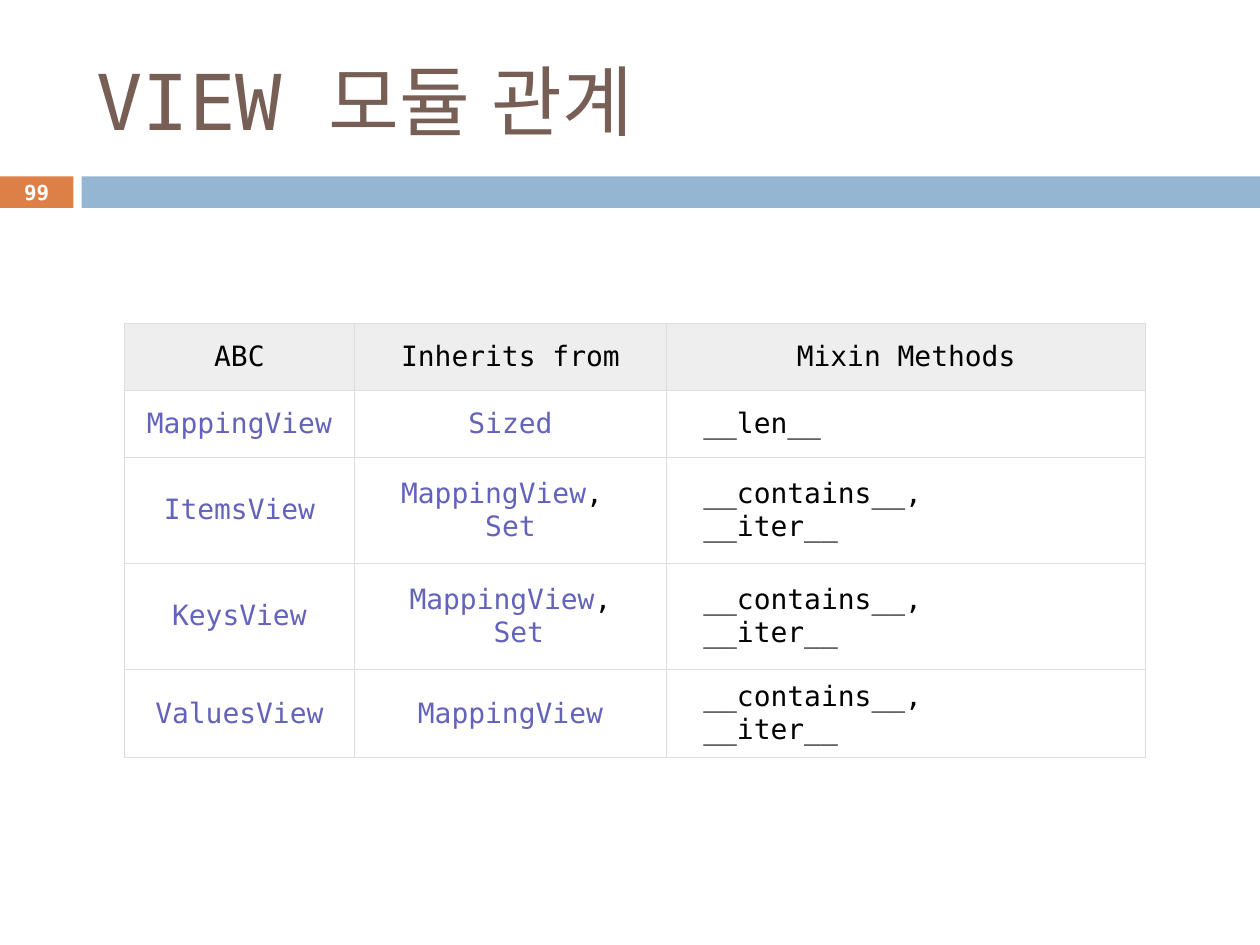
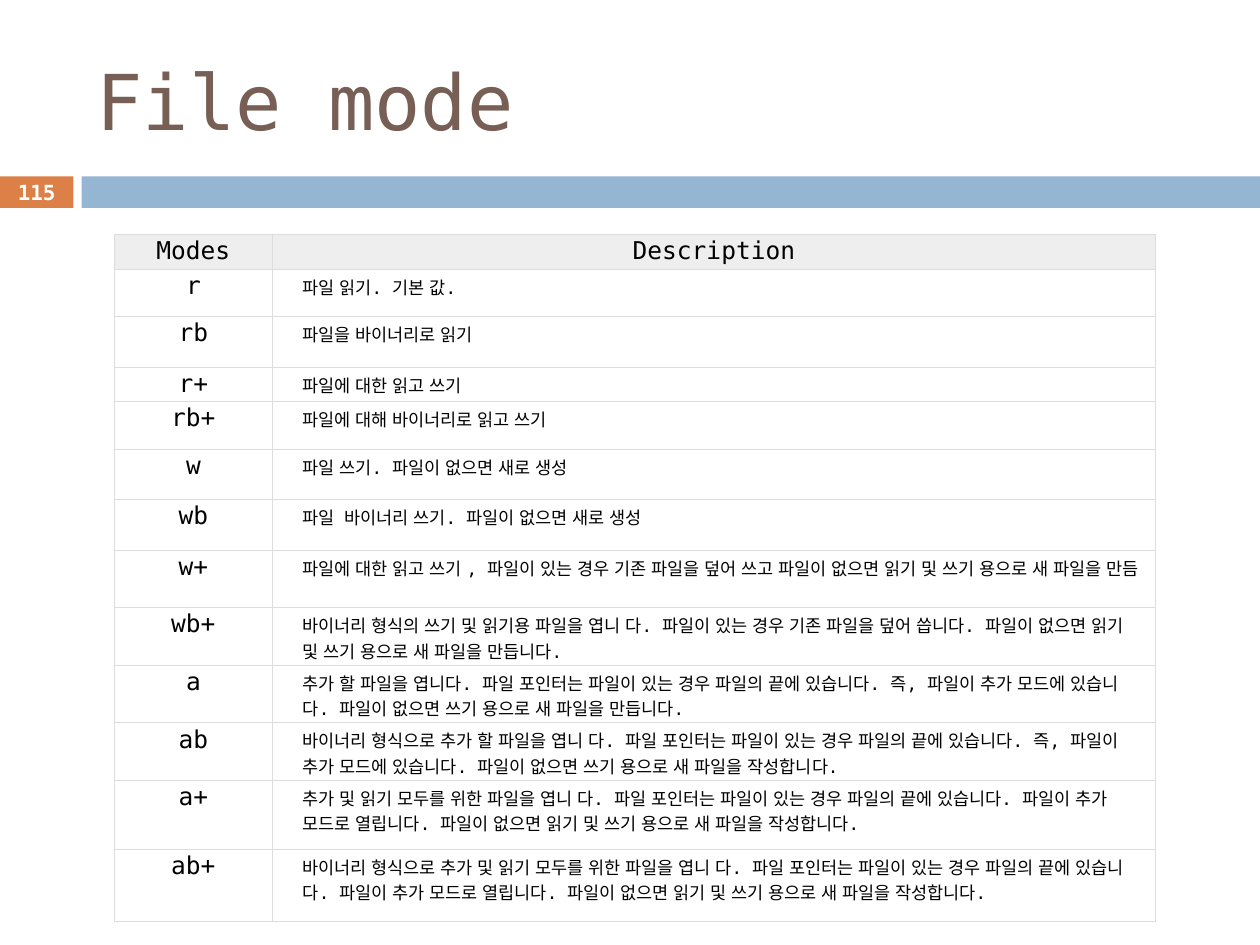
from dataclasses import dataclass
from lxml.etree import SubElement
from pptx import Presentation
from pptx.dml.color import RGBColor
from pptx.enum.lang import MSO_LANGUAGE_ID
from pptx.enum.shapes import MSO_SHAPE
from pptx.enum.text import MSO_ANCHOR, PP_ALIGN
from pptx.oxml.ns import qn
from pptx.util import Pt

VIEW_TITLE, VIEW_PAGE = "VIEW 모듈 관계", "99"
VIEW_ROWS = [
    (["ABC"], ["Inherits from"], ["Mixin Methods"]),
    (["MappingView"], ["Sized"], ["__len__"]),
    (["ItemsView"], ["MappingView, ", "Set"], ["__contains__,", "__iter__"]),
    (["KeysView"], ["MappingView,", " Set"], ["__contains__,", "__iter__"]),
    (["ValuesView"], ["MappingView"], ["__contains__,", "__iter__"]),
]

MODE_TITLE, MODE_PAGE = "File mode", "115"
MODE_ROWS = [
    ("Modes", "Description"),
    ("r", "파일 읽기. 기본 값."),
    ("rb", "파일을 바이너리로 읽기"),
    ("r+", "파일에 대한 읽고 쓰기"),
    ("rb+", "파일에 대해 바이너리로 읽고 쓰기"),
    ("w", "파일 쓰기. 파일이 없으면 새로 생성"),
    ("wb", "파일  바이너리 쓰기. 파일이 없으면 새로 생성"),
    ("w+", "파일에 대한 읽고 쓰기 , 파일이 있는 경우 기존 파일을 덮어 쓰고 "
           "파일이 없으면 읽기 및 쓰기 용으로 새 파일을 만듬"),
    ("wb+", "바이너리 형식의 쓰기 및 읽기용 파일을 엽니 다. 파일이 있는 경우 기존 파일을 "
            "덮어 씁니다. 파일이 없으면 읽기 및 쓰기 용으로 새 파일을 만듭니다."),
    ("a", "추가 할 파일을 엽니다. 파일 포인터는 파일이 있는 경우 파일의 끝에 있습니다. "
          "즉, 파일이 추가 모드에 있습니다. 파일이 없으면 쓰기 용으로 새 파일을 만듭니다."),
    ("ab", "바이너리 형식으로 추가 할 파일을 엽니 다. 파일 포인터는 파일이 있는 경우 "
           "파일의 끝에 있습니다. 즉, 파일이 추가 모드에 있습니다. "
           "파일이 없으면 쓰기 용으로 새 파일을 작성합니다."),
    ("a+", "추가 및 읽기 모두를 위한 파일을 엽니 다. 파일 포인터는 파일이 있는 경우 "
           "파일의 끝에 있습니다. 파일이 추가 모드로 열립니다. "
           "파일이 없으면 읽기 및 쓰기 용으로 새 파일을 작성합니다."),
    ("ab+", "바이너리 형식으로 추가 및 읽기 모두를 위한 파일을 엽니 다. 파일 포인터는 "
            "파일이 있는 경우 파일의 끝에 있습니다. 파일이 추가 모드로 열립니다. "
            "파일이 없으면 읽기 및 쓰기 용으로 새 파일을 작성합니다."),
]


@dataclass(frozen=True)
class Theme:
    font: str = "DejaVu Sans Mono"
    title: str = "775F55"
    accent: str = "DD8047"
    band: str = "94B6D2"
    white: str = "FFFFFF"
    text: str = "000000"
    link: str = "6363BB"
    header: str = "EEEEEE"
    border: str = "DDDDDD"
    title_size: float = 44
    page_size: float = 11.9
    view_size: float = 16
    mode_size: float = 14
    note_size: float = 10


T = Theme()
SLIDE_W, SLIDE_H = 720, 540
BAND_TOP, BAND_H = 100.8, 18
PAGE_W, BAND_LEFT = 42, 46.6
VIEW_INSETS = (2.2, 0.7, 2.2, 0.7)
METHOD_INSETS = (21.2, 0.7, 2.2, 0.7)
MODE_INSETS = (1.4, 1.4, 1.4, 1.4)
NOTE_INSETS = (17.3, 2.9, 8.6, 1.4)


def rgb(color):
    return RGBColor.from_string(color)


def style(font, size, color, bold=False):
    font.name, font.size, font.bold = T.font, Pt(size), bold
    font.language_id = MSO_LANGUAGE_ID.KOREAN
    font.color.rgb = rgb(color)


def add_text(s, box, text, size, color, align=PP_ALIGN.LEFT, bold=False):
    tf = s.shapes.add_textbox(*map(Pt, box)).text_frame
    tf.word_wrap = True
    tf.vertical_anchor = MSO_ANCHOR.MIDDLE
    p = tf.paragraphs[0]
    p.text, p.alignment = text, align
    style(p.font, size, color, bold)


def add_bar(s, left, width, color):
    sp = s.shapes.add_shape(MSO_SHAPE.RECTANGLE, *map(Pt, (left, BAND_TOP, width, BAND_H)))
    sp.shadow.inherit = False
    sp.fill.solid()
    sp.fill.fore_color.rgb = rgb(color)
    sp.line.fill.background()


def add_page(prs, title, page):
    s = prs.slides.add_slide(prs.slide_layouts[6])
    add_bar(s, 0, PAGE_W, T.accent)
    add_bar(s, BAND_LEFT, SLIDE_W - BAND_LEFT, T.band)
    add_text(s, (48, 18, 642, 78), title, T.title_size, T.title)
    add_text(s, (0, BAND_TOP - 0.5, PAGE_W, BAND_H + 1), page, T.page_size, T.white,
             PP_ALIGN.CENTER, True)
    return s


def add_grid(s, left, top, widths, heights):
    """Add a ruled table with a tinted header row and no built-in banding."""
    table = s.shapes.add_table(len(heights), len(widths),
                               *map(Pt, (left, top, sum(widths), sum(heights)))).table
    table.first_row = table.horz_banding = False
    for col, width in zip(table.columns, widths):
        col.width = Pt(width)
    for i, (row, height) in enumerate(zip(table.rows, heights)):
        row.height = Pt(height)
        for cell in row.cells:
            cell.fill.solid()
            cell.fill.fore_color.rgb = rgb(T.white if i else T.header)
            add_borders(cell)
    return table


def add_borders(cell):
    tcPr = cell._tc.get_or_add_tcPr()
    for i, side in enumerate(("lnL", "lnR", "lnT", "lnB")):
        ln = SubElement(tcPr, qn(f"a:{side}"), w=str(Pt(0.6)))
        SubElement(SubElement(ln, qn("a:solidFill")), qn("a:srgbClr"), val=T.border)
        tcPr.insert(i, ln)


def set_cell(cell, lines, size, insets, align, anchor=MSO_ANCHOR.TOP, link=False):
    """Fill a cell line by line; in link cells the part before a comma is coloured."""
    (cell.margin_left, cell.margin_top,
     cell.margin_right, cell.margin_bottom) = map(Pt, insets)
    cell.vertical_anchor = anchor
    tf = cell.text_frame
    for i, line in enumerate(lines):
        p = tf.add_paragraph() if i else tf.paragraphs[0]
        p.alignment = align
        name, comma, rest = line.partition(",")
        parts = [(name, T.link), (comma + rest, T.text)] if link else [(line, T.text)]
        for text, color in parts:
            if text:
                r = p.add_run()
                r.text = text
                style(r.font, size, color)


def add_view_slide(prs):
    s = add_page(prs, VIEW_TITLE, VIEW_PAGE)
    table = add_grid(s, 71, 184.7, (131.6, 178.2, 274), (38.3, 38.3, 60.6, 60.6, 50.4))
    for i, row in enumerate(VIEW_ROWS):
        for j, lines in enumerate(row):
            method = i > 0 and j == 2
            set_cell(table.cell(i, j), lines, T.view_size,
                     METHOD_INSETS if method else VIEW_INSETS,
                     PP_ALIGN.LEFT if method else PP_ALIGN.CENTER,
                     MSO_ANCHOR.MIDDLE, link=i > 0 and j < 2)


def add_mode_slide(prs):
    s = add_page(prs, MODE_TITLE, MODE_PAGE)
    heights = (20, 27, 29, 19.5, 27.4, 28.6, 29) + (32.9,) * 4 + (39.4, 41.1)
    table = add_grid(s, 65.3, 133.8, (90.4, 504.7), heights)
    for i, (mode, note) in enumerate(MODE_ROWS):
        modes = (T.mode_size, MODE_INSETS, PP_ALIGN.CENTER)
        notes = (T.note_size, NOTE_INSETS, PP_ALIGN.LEFT) if i else modes
        set_cell(table.cell(i, 0), [mode], *modes)
        set_cell(table.cell(i, 1), [note], *notes)


def main():
    prs = Presentation()
    prs.slide_width, prs.slide_height = Pt(SLIDE_W), Pt(SLIDE_H)
    add_view_slide(prs)
    add_mode_slide(prs)
    prs.save("out.pptx")


if __name__ == "__main__":
    main()
